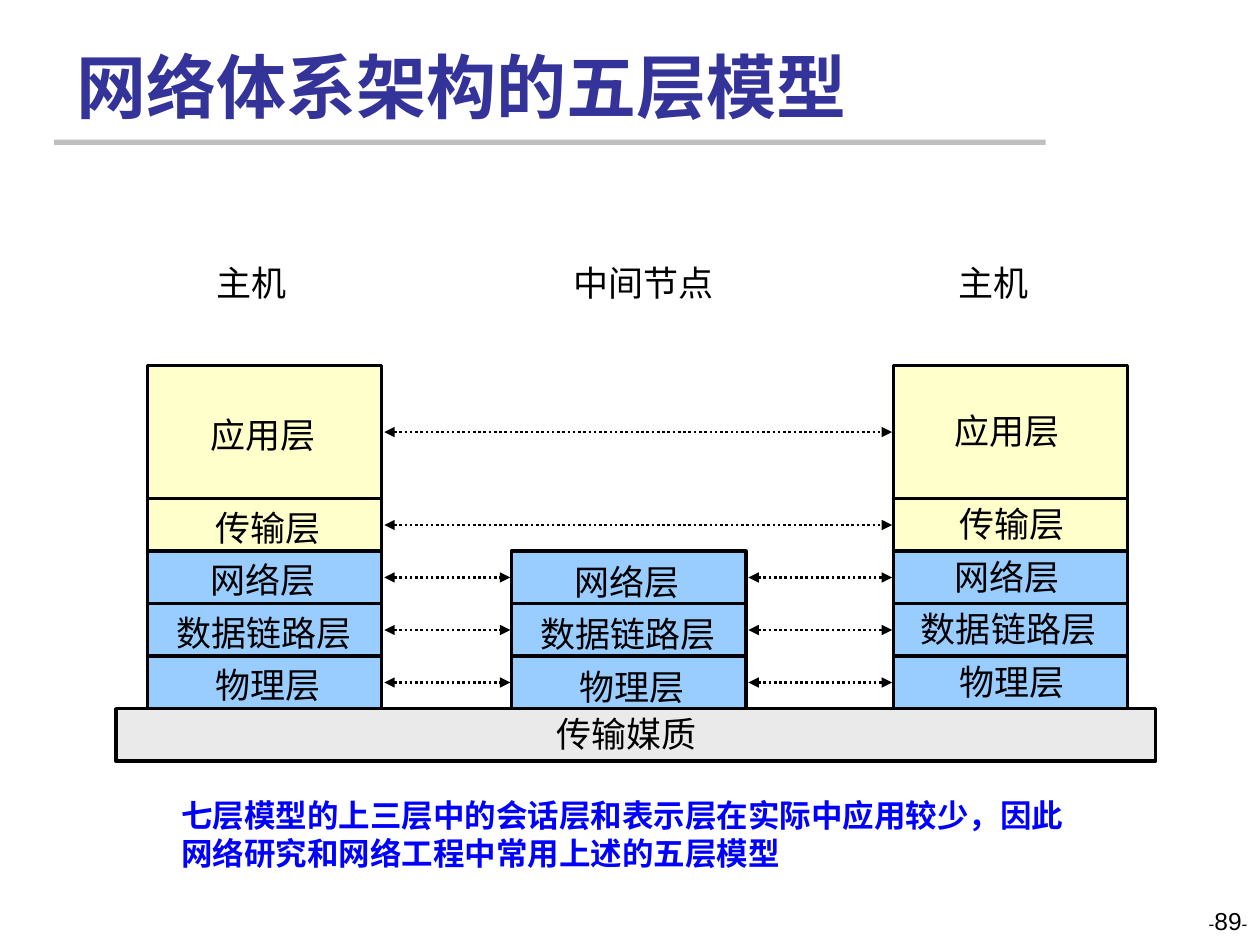
from pptx import Presentation
from pptx.dml.color import RGBColor
from pptx.enum.dml import MSO_LINE
from pptx.enum.shapes import MSO_CONNECTOR, MSO_SHAPE
from pptx.enum.text import MSO_ANCHOR, MSO_AUTO_SIZE, PP_ALIGN
from pptx.oxml import parse_xml
from pptx.oxml.ns import nsdecls, qn
from pptx.util import Inches, Pt

COLOURS = {
    "title": "333399", "rule": "BFBFBF", "ink": "000000", "note": "0000FF",
    "upper": "FFFFCC", "lower": "99CCFF", "medium": "EAEAEA",
}
COLUMNS, ROWS = 10, 18
BOX_WIDTH = 1.86
LABEL_HEIGHT = 1.03

LAYERS = [
    ("应用层", 6.96, 2.54, "upper", 1.73, 0),
    ("传输层", 9.5, 1, "upper", 1.65, 0.08),
    ("网络层", 10.5, 1, "lower", 1.73, 0),
    ("数据链路层", 11.5, 1, "lower", 1.75, 0),
    ("物理层", 12.5, 1, "lower", 1.65, 0.08),
]
STACKS = [
    (1.17, LAYERS, 0.05, 0.04),
    (4.06, LAYERS[2:], 0.05, 0.07),
    (7.09, LAYERS, 0.04, -0.03),
]
HEADINGS = [("主机", 1.62, 0.76), ("中间节点", 4.45, 1.32), ("主机", 7.51, 0.76)]


def colour(name):
    return RGBColor.from_string(COLOURS[name])


def add_text(paragraph, text, size=20, font="Arial", ink="ink", bold=False, align=PP_ALIGN.LEFT):
    paragraph.alignment = align
    run = paragraph.add_run()
    run.text = text
    run.font.size = Pt(size)
    run.font.name = font
    run.font.bold = bold
    run.font.color.rgb = colour(ink)


class SlideBuilder:
    def __init__(self, presentation):
        self.slide = presentation.slides.add_slide(presentation.slide_layouts[5])
        self.column = presentation.slide_width / COLUMNS
        self.row = presentation.slide_height / ROWS

    def place(self, left, top, width, height):
        return (round(left * self.column), round(top * self.row),
                round(width * self.column), round(height * self.row))

    def title(self, text, *area):
        title = self.slide.shapes.title
        title.left, title.top, title.width, title.height = self.place(*area)
        frame = title.text_frame
        frame.vertical_anchor = MSO_ANCHOR.BOTTOM
        frame.auto_size = MSO_AUTO_SIZE.NONE
        add_text(frame.paragraphs[0], text, size=40, font="Calibri", ink="title", bold=True)

    def box(self, fill, *area, outlined=True):
        shape = self.slide.shapes.add_shape(MSO_SHAPE.RECTANGLE, *self.place(*area))
        shape.shadow.inherit = False
        shape.fill.solid()
        shape.fill.fore_color.rgb = colour(fill)
        if outlined:
            shape.line.color.rgb = colour("ink")
            shape.line.width = Pt(2)
        else:
            shape.line.fill.background()

    def text(self, lines, *area, wrap=False, grow=True, **style):
        frame = self.slide.shapes.add_textbox(*self.place(*area)).text_frame
        frame.word_wrap = wrap
        frame.auto_size = MSO_AUTO_SIZE.SHAPE_TO_FIT_TEXT if grow else MSO_AUTO_SIZE.NONE
        for index, line in enumerate(lines):
            paragraph = frame.add_paragraph() if index else frame.paragraphs[0]
            add_text(paragraph, line, **style)
        return frame

    def arrow(self, start, end, row):
        left, top, width, _ = self.place(start, row, end - start, 0)
        connector = self.slide.shapes.add_connector(
            MSO_CONNECTOR.STRAIGHT, left, top, left + width, top)
        connector.line.color.rgb = colour("ink")
        connector.line.width = Pt(1.5)
        connector.line.dash_style = MSO_LINE.ROUND_DOT
        properties = connector._element.spPr
        outline = properties.find(qn("a:ln"))
        for end_name in ("headEnd", "tailEnd"):
            outline.append(parse_xml(f'<a:{end_name} {nsdecls("a")} type="triangle"/>'))
        properties.append(parse_xml(f'<a:effectLst {nsdecls("a")}/>'))

    def stack(self, left, layers, indent, drop):
        for name, top, height, fill, label_width, extra in layers:
            self.box(fill, left, top, BOX_WIDTH, height)
            label_top = top + (height - LABEL_HEIGHT) / 2 + drop
            self.text([name], left + indent + extra, label_top, label_width, LABEL_HEIGHT,
                      wrap=True, align=PP_ALIGN.CENTER)

    def page_number(self, number, *area):
        frame = self.text(["-"], *area, wrap=True, grow=False, size=10, align=PP_ALIGN.RIGHT)
        for text, size in ((number, 14), ("-", 10)):
            add_text(frame.paragraphs[0], text, size=size, align=PP_ALIGN.RIGHT)


def main():
    presentation = Presentation()
    presentation.slide_width, presentation.slide_height = Inches(10), Inches(7.5)
    builder = SlideBuilder(presentation)

    builder.box("rule", 0.43, 2.66, 7.87, 0.1, outlined=False)
    builder.title("网络体系架构的五层模型", 0.51, 0.67, 8.25, 1.87)
    builder.page_number("89", 7.67, 17.14, 2.33, 1.2)

    for heading, left, width in HEADINGS:
        builder.text([heading], left, 4.86, width, LABEL_HEIGHT)
    for stack in STACKS:
        builder.stack(*stack)
    builder.box("medium", 0.92, 13.5, 8.25, 1)
    builder.text(["传输媒质"], 4.32, 13.46, 1.31, LABEL_HEIGHT)

    host, node, far_host = (stack[0] for stack in STACKS)
    for layer in LAYERS:
        _, top, height, *_ = layer
        stops = [host, node, far_host] if layer in STACKS[1][1] else [host, far_host]
        for source, target in zip(stops, stops[1:]):
            builder.arrow(source + BOX_WIDTH + 0.02, target - 0.01, top + height / 2)

    builder.text(["七层模型的上三层中的会话层和表示层在实际中应用较少，因此",
                  "网络研究和网络工程中常用上述的五层模型"],
                 1.34, 15.05, 7.27, 1.7, size=18, ink="note", bold=True)
    presentation.save("out.pptx")


if __name__ == "__main__":
    main()
